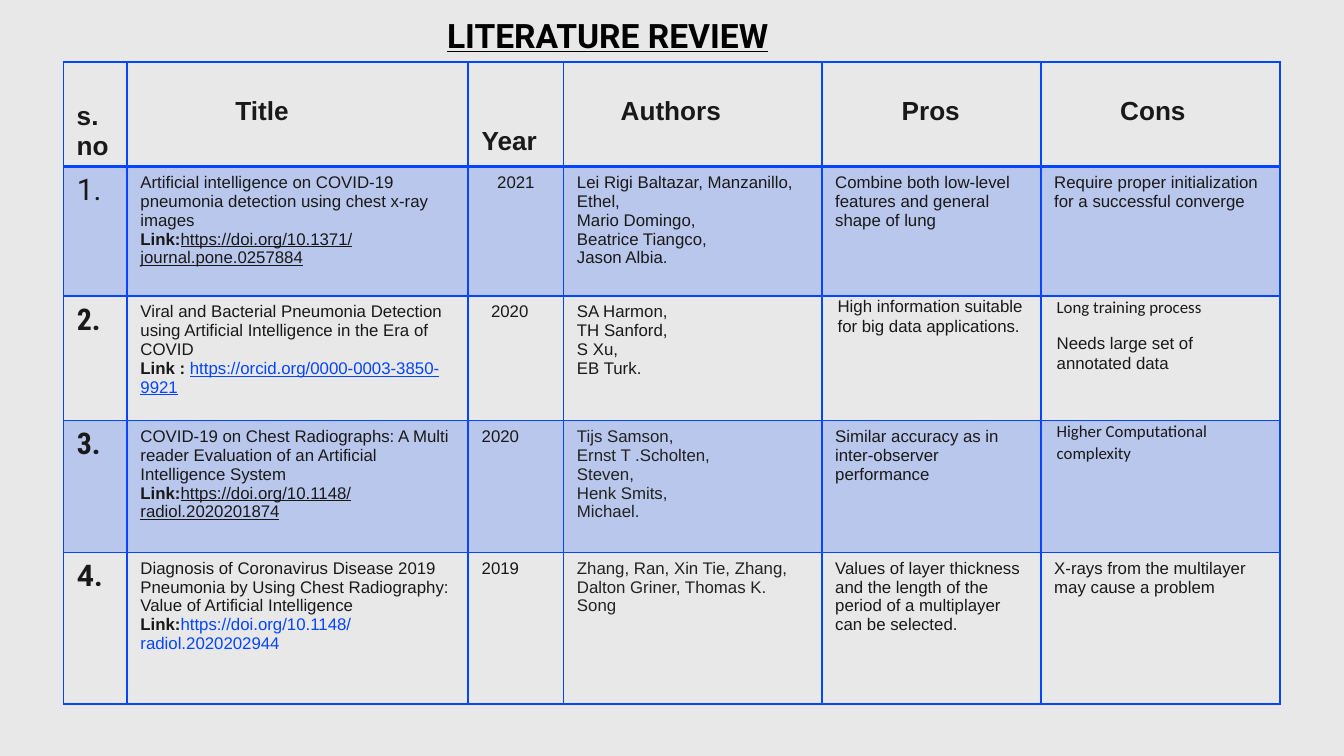
from dataclasses import dataclass

from lxml.etree import SubElement
from pptx import Presentation
from pptx.dml.color import RGBColor
from pptx.enum.text import PP_ALIGN
from pptx.oxml import parse_xml
from pptx.oxml.ns import nsdecls, qn
from pptx.util import Cm, Pt


@dataclass(frozen=True)
class Theme:
    background: str = "E8E8E8"
    ink: str = "191919"
    author: str = "222222"
    title: str = "000000"
    accent: str = "0445FF"
    band_alpha: int = 20
    body_font: str = "Arial"
    note_font: str = "Calibri"
    number_font: str = "Roboto"
    narrow_font: str = "Roboto Condensed"
    body_size: int = 9
    header_size: int = 14
    number_size: int = 16
    title_size: int = 18


THEME = Theme()


def add_run(p, text, *, size=THEME.body_size, font=THEME.body_font,
            color=THEME.ink, bold=False, underline=False):
    r = p.add_run()
    r.text = text
    r.font.size = Pt(size)
    r.font.name = font
    r.font.bold = bold
    r.font.underline = underline
    r.font.color.rgb = RGBColor.from_string(color)


class SlideBuilder:
    def __init__(self, prs, theme):
        self.theme = theme
        self.s = prs.slides.add_slide(prs.slide_layouts[6])
        fill = self.s.background.fill
        fill.solid()
        fill.fore_color.rgb = RGBColor.from_string(theme.background)

    def title(self, text, left, top, width, height):
        sp = self.s.shapes.add_textbox(Cm(left), Cm(top), Cm(width), Cm(height))
        tf = sp.text_frame
        tf.word_wrap = True
        add_run(tf.paragraphs[0], text, size=self.theme.title_size,
                font=self.theme.number_font, color=self.theme.title,
                bold=True, underline=True)

    def table(self, left, top, widths, heights):
        frame = self.s.shapes.add_table(
            len(heights), len(widths), Cm(left), Cm(top),
            Cm(sum(widths)), Cm(sum(heights)))
        table = frame.table
        table.first_row = table.horz_banding = False
        for column, width in zip(table.columns, widths):
            column.width = Cm(width)
        for row, height in zip(table.rows, heights):
            row.height = Cm(height)
        return table

    def cell(self, cell, paragraphs, *, banded=False, rule=1, above=1,
             margins=None, spaced=False, align=None):
        """Fill a cell; each paragraph is a list of (text, format) runs."""
        for side, value in (margins or {}).items():
            setattr(cell, f"margin_{side}", Cm(value))
        tf = cell.text_frame
        for i, runs in enumerate(paragraphs):
            p = tf.add_paragraph() if i else tf.paragraphs[0]
            if align is not None:
                p.alignment = align
            if spaced:
                p.line_spacing = 1.07
                p.space_after = Pt(8)
            for text, style in runs:
                add_run(p, text, **style)
        self.paint(cell, banded)
        self.borders(cell, above, rule)

    def paint(self, cell, banded):
        if not banded:
            cell.fill.background()
            return
        cell.fill.solid()
        cell.fill.fore_color.rgb = RGBColor.from_string(self.theme.accent)
        color = next(cell._tc.tcPr.iter(qn("a:srgbClr")))
        SubElement(color, qn("a:alpha")).set("val", str(self.theme.band_alpha * 1000))

    def borders(self, cell, above, below):
        widths = {"L": 1, "R": 1, "T": above, "B": below}
        for i, (side, width) in enumerate(widths.items()):
            cell._tc.tcPr.insert(i, parse_xml(
                f'<a:ln{side} {nsdecls("a")} w="{Pt(width)}"><a:solidFill>'
                f'<a:srgbClr val="{self.theme.accent}"/></a:solidFill></a:ln{side}>'))


def lines(*texts, **style):
    return [[(text, style)] for text in texts]


def paper(title, label, link, **link_style):
    return [[(title, {})], [(label, {"bold": True}), (link, link_style)]]


INSET = {"margins": {"left": 0.3, "right": 0.3, "top": 0, "bottom": 0}, "spaced": True}
WIDTHS = [1.2, 6.45, 1.8, 4.88, 4.14, 4.52]
HEIGHTS = [1.98, 2.44, 2.36, 2.49, 2.87]

# label, left margin, top margin
HEADERS = [
    ("s.no", 0.25, 0.76),
    ("Title", 2.05, 0.66),
    ("Year", 0.25, 1.23),
    ("Authors", 1.08, 0.66),
    ("Pros", 1.51, 0.66),
    ("Cons", 1.5, 0.66),
]

NUMBER_STYLES = [
    {"font": THEME.number_font},
    {"font": THEME.narrow_font, "bold": True},
    {"font": THEME.narrow_font, "bold": True},
    {"font": THEME.number_font, "bold": True},
]

# each cell: paragraphs, cell options
PAPERS = [
    [
        (paper("Artificial intelligence on COVID-19 pneumonia detection using chest x-ray images",
               "Link:", "https://doi.org/10.1371/journal.pone.0257884", underline=True), {}),
        (lines("2021"), {"align": PP_ALIGN.CENTER}),
        (lines("Lei Rigi Baltazar, Manzanillo,", "Ethel,", "Mario Domingo,",
               "Beatrice Tiangco,", "Jason Albia."), {}),
        (lines("Combine both low-level features and general shape of lung"), {}),
        (lines("Require proper initialization for a successful converge"), {}),
    ],
    [
        (paper("Viral and Bacterial Pneumonia Detection using Artificial Intelligence in the Era of COVID",
               "Link : ", "https://orcid.org/0000-0003-3850-9921",
               color=THEME.accent, underline=True), {}),
        (lines("2020"), {"margins": {"left": 0.43}}),
        (lines("SA Harmon,", "TH Sanford,", "S Xu,", "EB Turk."), {}),
        (lines("High information suitable for big data applications."), INSET),
        (lines("Long training process", font=THEME.note_font)
         + lines("Needs large set of annotated data"), INSET),
    ],
    [
        (paper("COVID-19 on Chest Radiographs: A Multi reader Evaluation of an Artificial Intelligence System",
               "Link:", "https://doi.org/10.1148/radiol.2020201874", underline=True), {}),
        (lines("2020"), {}),
        (lines("Tijs Samson,", "Ernst T .Scholten,", "Steven,", "Henk Smits,", "Michael.",
               color=THEME.author), {}),
        (lines("Similar accuracy as in inter-observer performance"), {}),
        (lines("Higher Computational complexity", font=THEME.note_font), INSET),
    ],
    [
        (paper("Diagnosis of Coronavirus Disease 2019 Pneumonia by Using Chest Radiography: "
               "Value of Artificial Intelligence",
               "Link:", "https://doi.org/10.1148/radiol.2020202944", color=THEME.accent), {}),
        (lines("2019"), {}),
        (lines("Zhang, Ran, Xin Tie, Zhang, Dalton Griner, Thomas K. Song",
               color=THEME.author), {}),
        (lines("Values of layer thickness and the length of the period of a multiplayer "
               "can be selected."), {}),
        (lines("X-rays from the multilayer may cause a problem"), {}),
    ],
]


def main():
    prs = Presentation()
    prs.slide_width, prs.slide_height = Cm(25.4), Cm(14.29)
    builder = SlideBuilder(prs, THEME)

    table = builder.table(1.2, 1.17, WIDTHS, HEIGHTS)
    for column, (label, left, top) in enumerate(HEADERS):
        builder.cell(table.cell(0, column),
                     lines(label, size=THEME.header_size, bold=True), rule=2,
                     margins={"left": left, "top": top, "bottom": 0})
    for row, (cells, style) in enumerate(zip(PAPERS, NUMBER_STYLES), start=1):
        number = lines(f"{row}.", size=THEME.number_size, **style)
        for column, (paragraphs, options) in enumerate([(number, {}), *cells]):
            builder.cell(table.cell(row, column), paragraphs, banded=row % 2 == 1,
                         above=2 if row == 1 else 1, **options)

    builder.title("LITERATURE REVIEW", 8.2, 0.15, 9, 1.02)
    prs.save("out.pptx")


if __name__ == "__main__":
    main()
